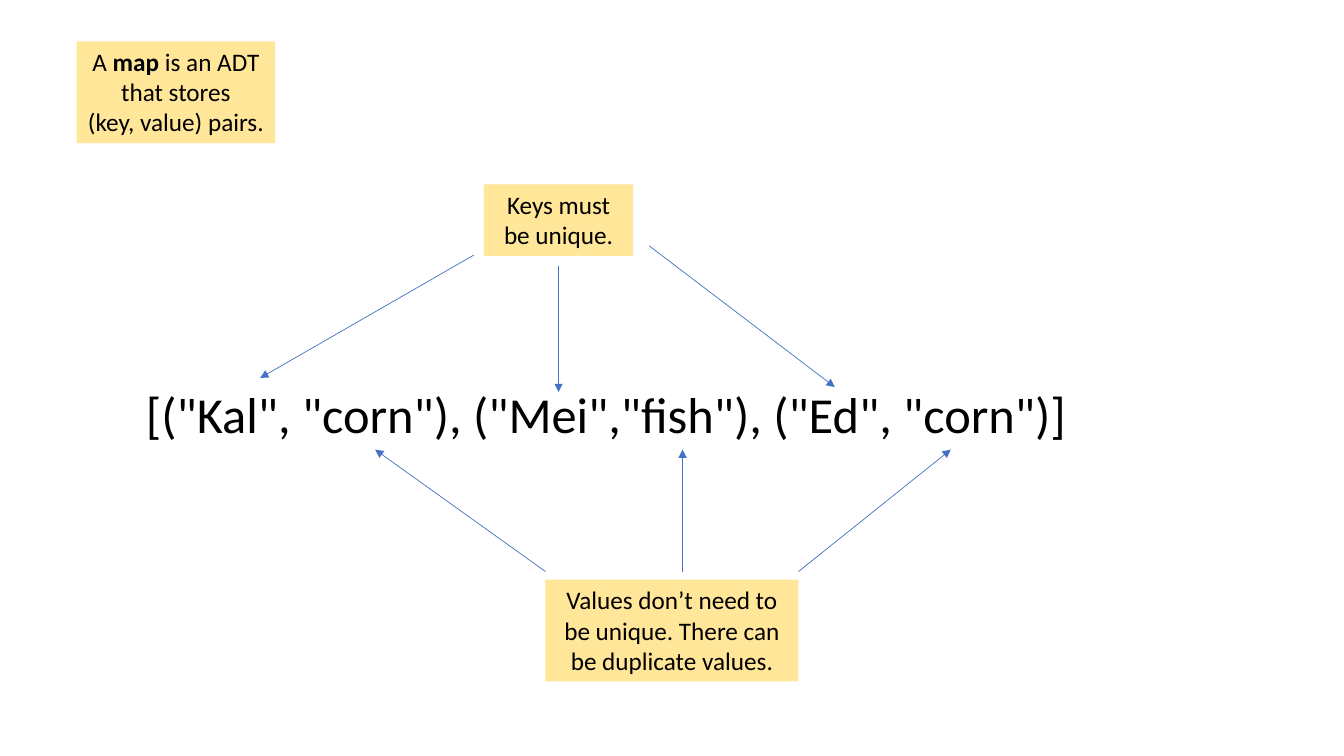
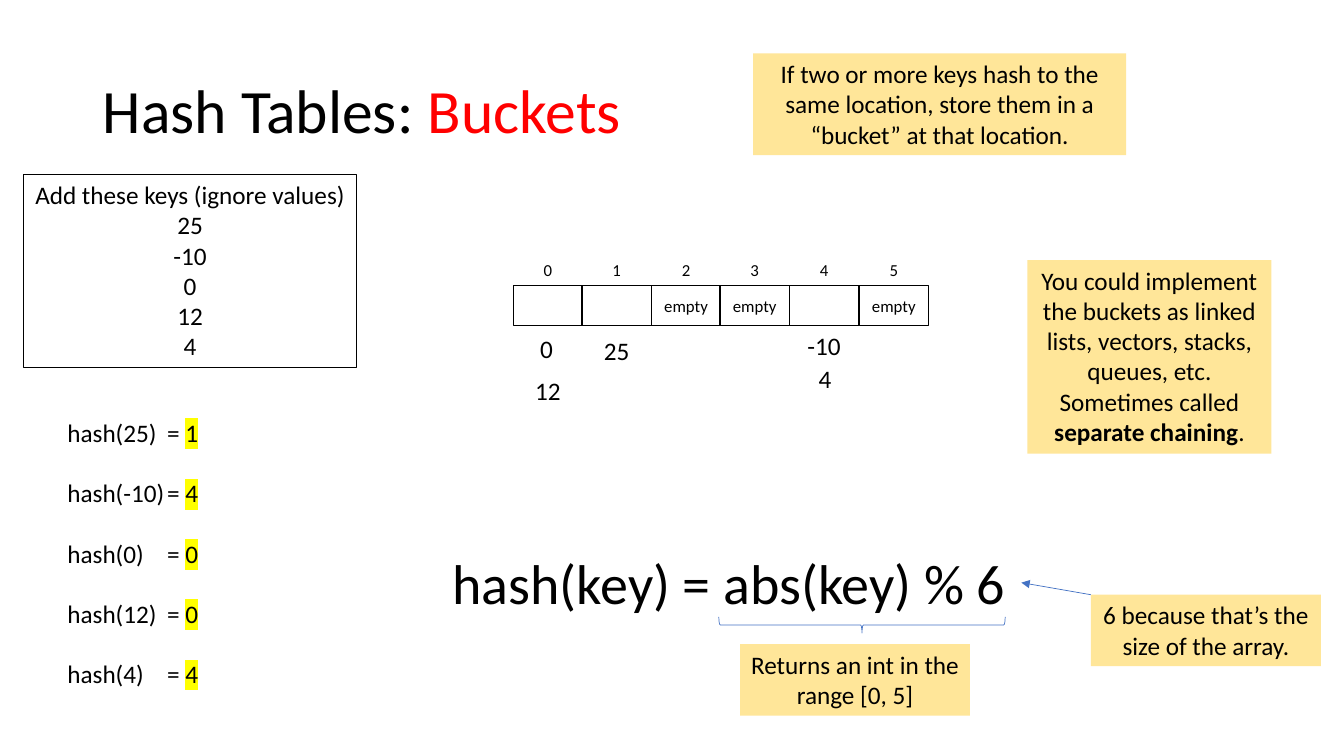
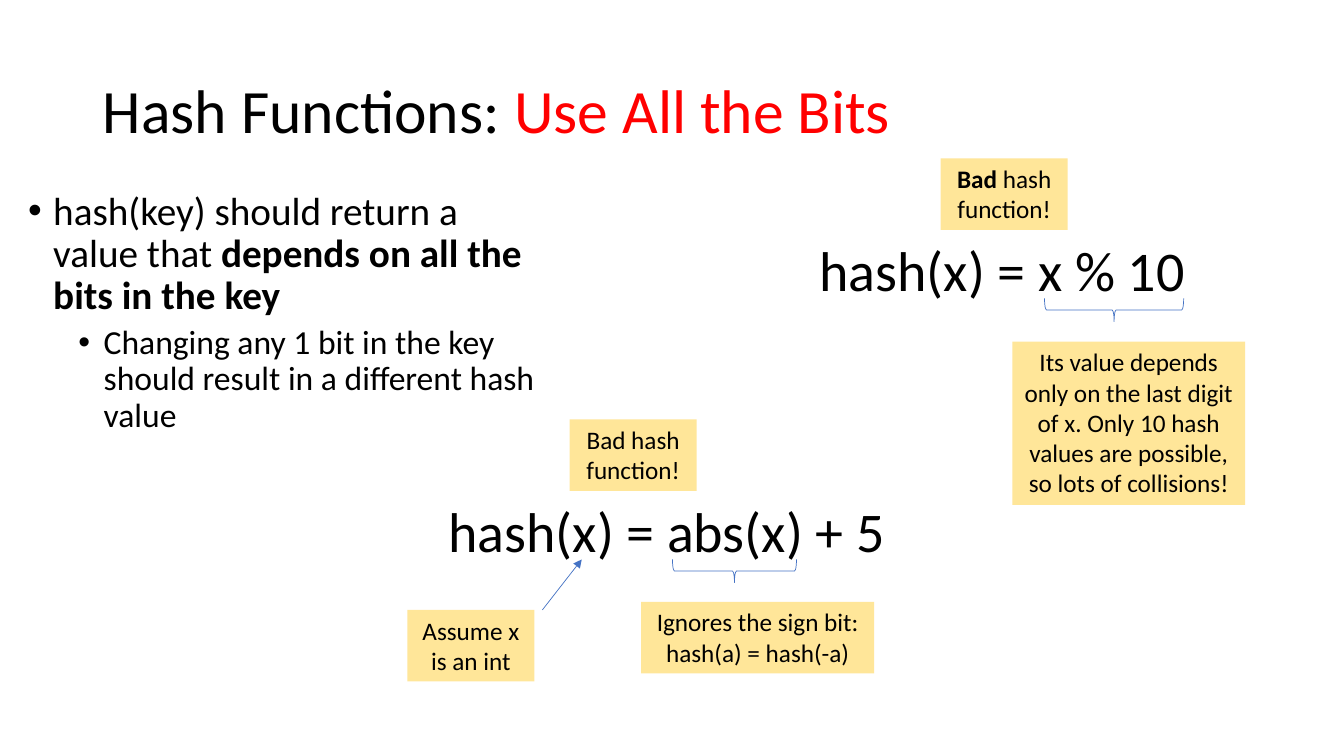
from lxml import etree
from pptx import Presentation
from pptx.dml.color import RGBColor
from pptx.enum.shapes import MSO_CONNECTOR as CONN, MSO_SHAPE as SHAPE
from pptx.enum.text import MSO_ANCHOR as ANCHOR, MSO_AUTO_SIZE as AUTO, PP_ALIGN as ALIGN
from pptx.oxml.ns import qn
from pptx.util import Emu, Pt

PX = 9144
FONT = "Calibri"
BLACK = RGBColor(0x00, 0x00, 0x00)
RED = RGBColor(0xFF, 0x00, 0x00)
BLUE = RGBColor(0x44, 0x72, 0xC4)
SAND = RGBColor(0xFF, 0xE6, 0x99)
YELLOW = RGBColor(0xFF, 0xFF, 0x00)
BOLD = {"bold": True}
TITLE_ONLY, BLANK = 5, 6


def px(*lengths):
    return [Emu(round(n * PX)) for n in lengths]


def add_run(p, text, size=18, color=BLACK, bold=False, highlight=None):
    r = p.add_run()
    r.text = text
    r.font.size = Pt(size)
    r.font.bold = bold
    r.font.color.rgb = color
    if highlight is not None:
        mark = etree.SubElement(r.font._element, qn("a:highlight"))
        etree.SubElement(mark, qn("a:srgbClr"), val=str(highlight))
    r.font.name = FONT


def write(tf, *paragraphs, align=ALIGN.LEFT, wrap=True, anchor=ANCHOR.TOP,
          spacing=None, before=0, after=0, **fmt):
    tf.word_wrap = wrap
    tf.auto_size = AUTO.NONE
    tf.vertical_anchor = anchor
    for i, runs in enumerate(paragraphs):
        p = tf.paragraphs[0] if i == 0 else tf.add_paragraph()
        p.alignment = align
        p.line_spacing = spacing
        p.space_before, p.space_after = Pt(before), Pt(after)
        for run in [runs] if isinstance(runs, str) else runs:
            text, extra = (run, {}) if isinstance(run, str) else run
            add_run(p, text, **{**fmt, **extra})
    return tf


def add_label(slide, box, *paragraphs, wrap=False, **fmt):
    sp = slide.shapes.add_textbox(*px(*box))
    return write(sp.text_frame, *paragraphs, wrap=wrap, **fmt)


def add_box(slide, box, *paragraphs, fill=None, line=None, **fmt):
    sp = slide.shapes.add_shape(SHAPE.RECTANGLE, *px(*box))
    sp.shadow.inherit = False
    if fill is None:
        sp.fill.background()
    else:
        sp.fill.solid()
        sp.fill.fore_color.rgb = fill
    if line is None:
        sp.line.fill.background()
    else:
        sp.line.color.rgb = line
        sp.line.width = Pt(0.75)
    write(sp.text_frame, *paragraphs, align=ALIGN.CENTER, **fmt)


def add_note(slide, box, *paragraphs):
    add_box(slide, box, *paragraphs, fill=SAND)


def add_arrow(slide, x1, y1, x2, y2):
    line = slide.shapes.add_connector(CONN.STRAIGHT, *px(x1, y1, x2, y2))
    line.line.color.rgb = BLUE
    line.line.width = Pt(0.5)
    props = line._element.spPr
    etree.SubElement(props.find(qn("a:ln")), qn("a:tailEnd"), type="triangle")
    etree.SubElement(props, qn("a:effectLst"))


def add_brace(slide, x, y, w, h):
    shift = (w - h) / 2
    sp = slide.shapes.add_shape(SHAPE.LEFT_BRACE, *px(x + shift, y - shift, h, w))
    sp.rotation = 270
    sp.shadow.inherit = False
    sp.fill.background()
    sp.line.color.rgb = BLUE
    sp.line.width = Pt(0.5)


def add_titled_slide(prs, topic, detail, width):
    slide = prs.slides.add_slide(prs.slide_layouts[TITLE_ONLY])
    title = slide.shapes.title
    title.left, title.top, title.width, title.height = px(92, 40, width, 145)
    write(title.text_frame, [topic, (detail, {"color": RED})],
          size=44, anchor=ANCHOR.MIDDLE, spacing=0.9)
    return slide


def add_array(slide, x, y, cells):
    for i, text in enumerate(cells):
        left = x + i * 343 // 5
        add_box(slide, (left, y, 69, 40), text, line=BLACK, size=12,
                wrap=False, anchor=ANCHOR.MIDDLE)
        add_label(slide, (left, y - 30, 69, 30), str(i), size=12,
                  wrap=True, align=ALIGN.CENTER)


def add_hash_list(slide, box, results):
    rows = [[f"hash({key})\t= ", (str(value), {"highlight": YELLOW})]
            for key, value in results]
    tf = add_label(slide, box, *rows, after=21.5)
    for p in tf.paragraphs:
        tabs = etree.SubElement(p._p.get_or_add_pPr(), qn("a:tabLst"))
        etree.SubElement(tabs, qn("a:tab"), pos=str(99 * PX), algn="l")


def add_bullets(slide, box, items):
    tf = slide.shapes.add_textbox(*px(*box)).text_frame
    write(tf, *[[] for _ in items], spacing=0.9)
    for p, (level, runs) in zip(tf.paragraphs, items):
        p.level = level
        p.space_before = Pt(5 if level else 10)
        props = p._p.get_or_add_pPr()
        props.set("marL", str((25 + 50 * level) * PX))
        props.set("indent", str(-25 * PX))
        etree.SubElement(props, qn("a:buFont"), typeface="Arial")
        etree.SubElement(props, qn("a:buChar"), char="•")
        for text, fmt in runs:
            add_run(p, text, size=24 if level else 28, **fmt)


def map_slide(prs):
    slide = prs.slides.add_slide(prs.slide_layouts[BLANK])
    add_note(slide, (76, 41, 197, 101),
             ["A ", ("map", BOLD), " is an ADT that stores"], "(key, value) pairs.")
    add_label(slide, (135, 375, 940, 71),
              '[("Kal", "corn"), ("Mei","fish"), ("Ed", "corn")]', size=36)
    add_note(slide, (480, 183, 148, 71), "Keys must be unique.")
    add_note(slide, (541, 575, 251, 101),
             "Values don’t need to be unique. There can be duplicate values.")
    for ends in [(470, 253, 258, 375), (554, 264, 554, 389), (644, 244, 828, 384),
                 (541, 567, 372, 446), (677, 567, 677, 446), (792, 567, 943, 446)]:
        add_arrow(slide, *ends)


def buckets_slide(prs):
    slide = add_titled_slide(prs, "Hash Tables: ", "Buckets", 575)
    add_array(slide, 509, 283, ["", "", "empty", "empty", "", "empty"])
    for x, y, w, key in [(526, 326, 33, "0"), (521, 367, 46, "12"), (589, 328, 46, "25"),
                         (791, 323, 54, "-10"), (802, 356, 33, "4")]:
        add_label(slide, (x, y, w, 40), key)
    add_box(slide, (23, 173, 331, 192), "Add these keys (ignore values)",
            "25", "-10", "0", "12", "4", line=BLACK, wrap=False)
    add_hash_list(slide, (57, 409, 154, 283),
                  [(25, 1), (-10, 4), (0, 0), (12, 0), (4, 4)])
    add_label(slide, (439, 539, 574, 77), "hash(key) = abs(key) % 6", size=40)
    add_brace(slide, 713, 612, 284, 16)
    add_note(slide, (734, 639, 228, 71), "Returns an int in the range [0, 5]")
    add_arrow(slide, 1082, 590, 1013, 578)
    add_note(slide, (1082, 590, 228, 71), "6 because that’s the size of the array.")
    add_note(slide, (747, 53, 370, 101),
             "If two or more keys hash to the same location, "
             "store them in a “bucket” at that location.")
    add_note(slide, (1019, 258, 242, 192),
             ["You could implement the buckets as linked lists, vectors, stacks, "
              "queues, etc. Sometimes called ", ("separate chaining", BOLD), "."])


def all_bits_slide(prs):
    slide = add_titled_slide(prs, "Hash Functions: ", "Use All the Bits", 1150)
    add_bullets(slide, (18, 185, 533, 510), [
        (0, [("hash(key) should return a value that ", {}),
             ("depends on all the bits in the key", BOLD)]),
        (1, [("Changing any 1 bit in the key should result in a different hash value", {})]),
    ])
    add_label(slide, (803, 229, 386, 77), "hash(x) = x % 10", size=40)
    add_note(slide, (933, 157, 126, 71), [("Bad", BOLD), " hash function!"])
    add_brace(slide, 1036, 296, 138, 23)
    add_note(slide, (1004, 339, 231, 162),
             "Its value depends only on the last digit of x. "
             "Only 10 hash values are possible, so lots of collisions!")
    add_label(slide, (435, 488, 457, 77), "hash(x) = abs(x) + 5", size=40)
    add_note(slide, (565, 416, 126, 71), "Bad hash function!")
    add_brace(slide, 667, 555, 123, 23)
    add_note(slide, (636, 597, 231, 71), "Ignores the sign bit: hash(a) = hash(-a)")
    add_note(slide, (404, 605, 126, 71), "Assume x is an int")
    add_arrow(slide, 538, 605, 577, 555)


def main():
    prs = Presentation()
    prs.slide_width, prs.slide_height = px(1333, 750)
    map_slide(prs)
    buckets_slide(prs)
    all_bits_slide(prs)
    prs.save("out.pptx")


if __name__ == "__main__":
    main()
